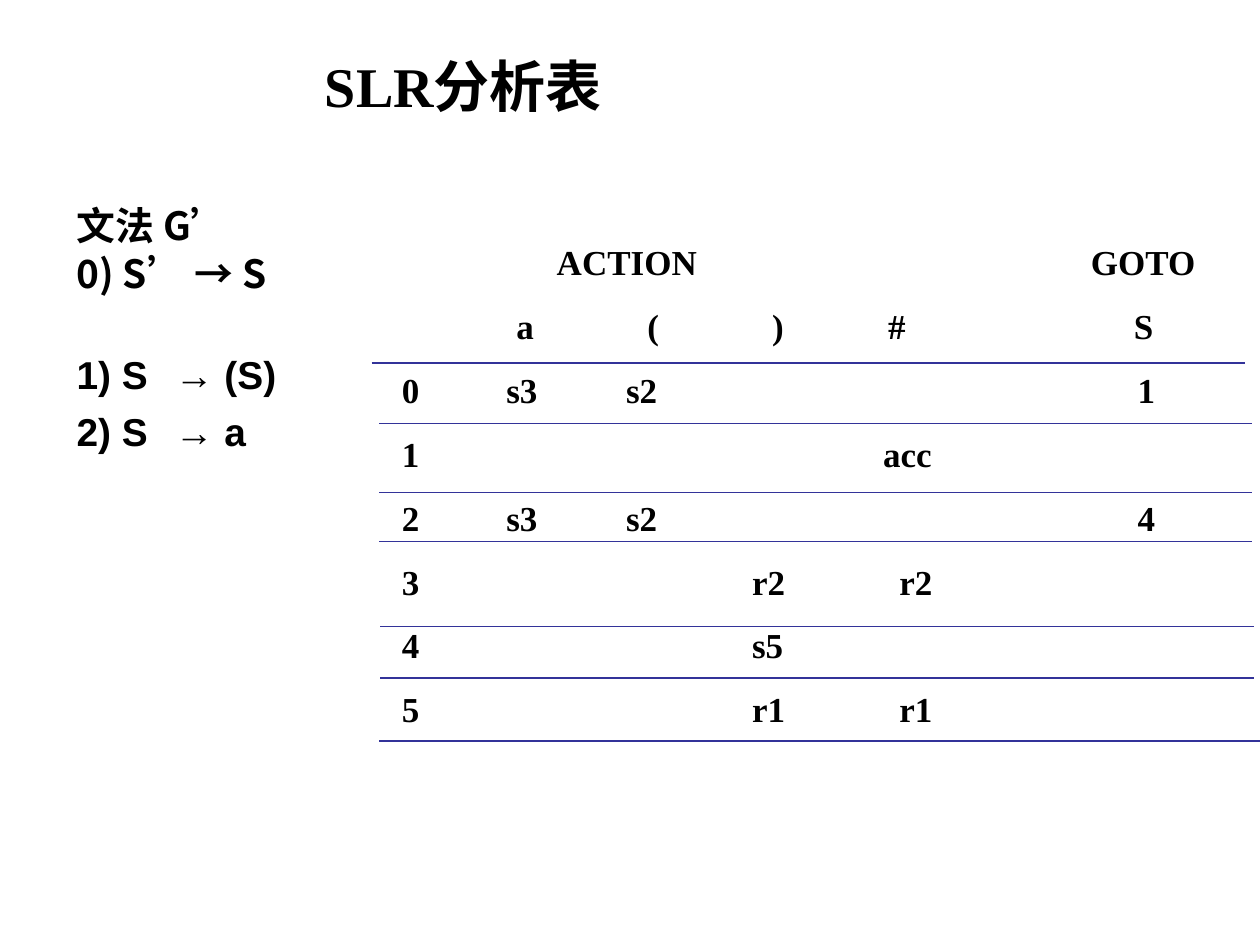
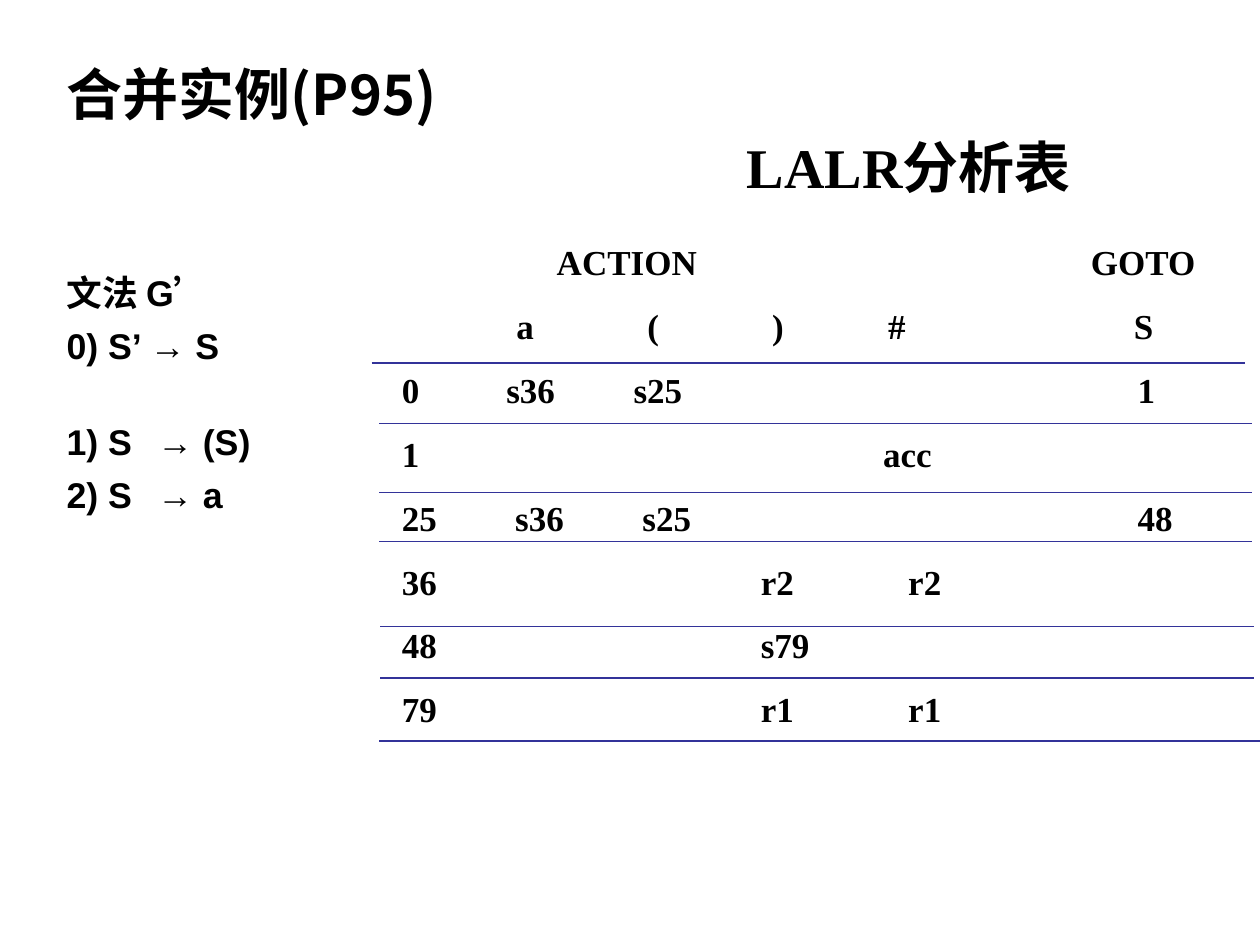
from lxml.etree import SubElement as Sub
from pptx import Presentation
from pptx.dml.color import RGBColor as RGB
from pptx.enum.shapes import MSO_CONNECTOR as Link
from pptx.enum.text import MSO_ANCHOR as Anchor
from pptx.oxml.ns import qn
from pptx.util import Inches, Pt

HUES = {"ink": "000000", "page": "FFFFFF", "rule": "333399"}
CJK, SANS, SERIF = "Noto Sans CJK SC", "Arial", "Times New Roman"

deck = Presentation()
deck.slide_width, deck.slide_height = Inches(10), Inches(7.5)
COL, ROW = deck.slide_width / 100, deck.slide_height / 75


def write(slide, lines, at, size, font, gap=0, fill=True, anchor=Anchor.TOP):
    left, top, wide, high = at
    box = slide.shapes.add_textbox(
        round(left * COL), round(top * ROW), round(wide * COL), round(high * ROW))
    if fill:
        box.fill.solid()
        box.fill.fore_color.rgb = RGB.from_string(HUES["page"])
    frame = box.text_frame
    frame.word_wrap = True
    frame.vertical_anchor = anchor
    for num, line in enumerate(lines):
        text, form = line if isinstance(line, tuple) else (line, {})
        para = frame.paragraphs[0] if num == 0 else frame.add_paragraph()
        if "tabs" in form:
            stops = Sub(para._p.get_or_add_pPr(), qn("a:tabLst"))
            for stop in form["tabs"]:
                Sub(stops, qn("a:tab"), pos=str(round(stop * COL)), algn="l")
        if num:
            para.space_before = Pt(form.get("gap", gap))
        para.line_spacing = form.get("lead", 1.0)
        run = para.add_run()
        run.text = text
        run.font.size = Pt(size)
        run.font.bold = True
        run.font.name = form.get("font", font)
        run.font.color.rgb = RGB.from_string(HUES["ink"])
        Sub(run._r.get_or_add_rPr(), qn("a:ea"), typeface=CJK)


HEADS = [
    [(13.7, "ACTION"), (56.1, "GOTO")],
    [(10.5, "a"), (20.9, "("), (30.8, ")"), (40, "#"), (59.5, "S")],
]
SLR = [
    [(1.4, "0"), (9.7, "s3"), (19.2, "s2"), (59.8, "1")],
    [(1.4, "1"), (39.6, "acc")],
    [(1.4, "2"), (9.7, "s3"), (19.2, "s2"), (59.8, "4")],
    [(1.4, "3"), (29.2, "r2"), (40.9, "r2")],
    [(1.4, "4"), (29.2, "s5")],
    [(1.4, "5"), (29.2, "r1"), (40.9, "r1")],
]
LALR = [
    [(1.4, "0"), (9.7, "s36"), (19.8, "s25"), (59.8, "1")],
    [(1.4, "1"), (39.6, "acc")],
    [(1.4, "25"), (10.4, "s36"), (20.5, "s25"), (59.8, "48")],
    [(1.4, "36"), (29.9, "r2"), (41.6, "r2")],
    [(1.4, "48"), (29.9, "s79")],
    [(1.4, "79"), (29.9, "r1"), (41.6, "r1")],
]
RULES = [
    (29.5, 98.8, 28.8), (30.1, 99.4, 33.6), (30.1, 99.4, 39.1),
    (30.1, 99.4, 43), (30.2, 99.5, 49.7), (30.2, 99.5, 53.8),
    (30.1, 100, 58.8),
]
GRAM = ["文法 G’", "0) S’ → S", "1) S\t→ (S)", "2) S\t→ a"]

first, second = [deck.slides.add_slide(deck.slide_layouts[6]) for _ in range(2)]

forms = [
    {"lead": 0.8},
    {"lead": 0.8},
    {"lead": 1.1, "gap": 29, "font": SANS, "tabs": [7.8]},
    {"font": SANS, "tabs": [7.8]},
]
write(first, list(zip(GRAM, forms)), at=(5.1, 16.2, 21.3, 22.1),
      size=22.2, font=CJK, gap=6)
write(first, ["SLR分析表"], at=(24.8, 3.6, 75.2, 6.4), size=32, font=SERIF)

write(second, ["合并实例(P95)"], at=(4.3, 2.8, 48, 9.2), size=32, font=CJK,
      anchor=Anchor.MIDDLE)
write(second, ["LALR分析表"], at=(58.3, 10, 28.8, 6.4), size=32, font=SERIF,
      fill=False)
forms = [{}, {}, {"gap": 30, "tabs": [7.2]}, {"tabs": [7.2]}]
write(second, list(zip(GRAM, forms)), at=(4.3, 21, 22, 21.3),
      size=20.4, font=SANS, gap=6)

for slide, states in ((first, SLR), (second, LALR)):
    lines = [("".join("\t" + mark for _, mark in row),
              {"tabs": [stop for stop, _ in row]}) for row in HEADS + states]
    write(slide, lines, at=(29.5, 18.6, 70.5, 43.2), size=20, font=SERIF, gap=12.5)
    for start, end, high in RULES:
        rule = slide.shapes.add_connector(
            Link.STRAIGHT, round(start * COL), round(high * ROW),
            round(end * COL), round(high * ROW))
        rule.line.color.rgb = RGB.from_string(HUES["rule"])
        rule.line.width = Pt(0.75)
        Sub(rule._element.spPr, qn("a:effectLst"))

deck.save("out.pptx")
